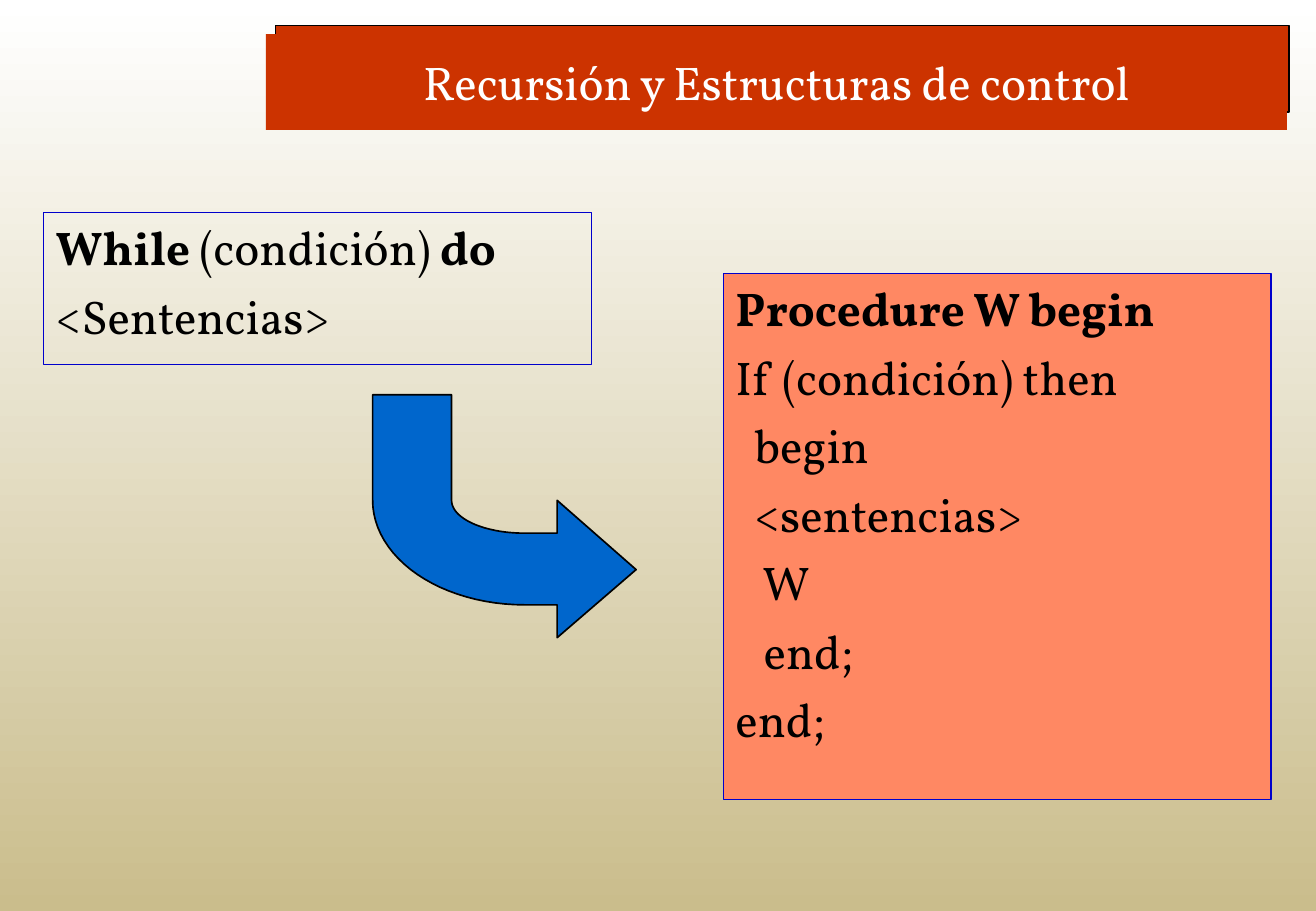
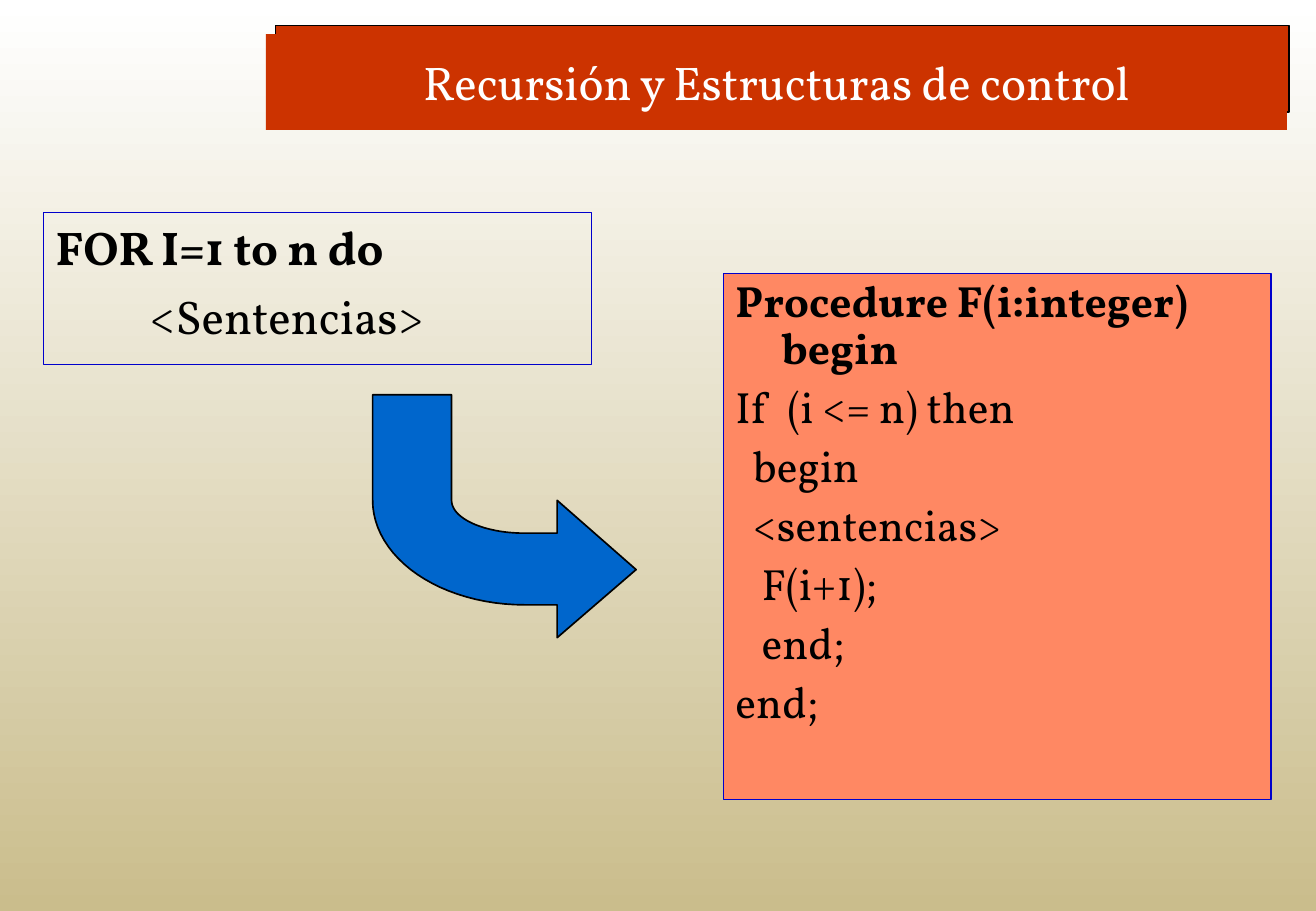
import math

from pptx import Presentation
from pptx import util as u
from pptx.dml import color
from pptx.enum import shapes, text

SCALE = 9144  # EMU in one px, 100 px to the inch


def px(n):
    return u.Emu(round(n * SCALE))


def rgb(code):
    return color.RGBColor.from_string(code)


def apply(target, values):
    for key, value in values.items():
        setattr(target, key, value)


class Deck:
    FONT = "Vollkorn"
    RED, SALMON, BLUE, NAVY = "CC3300", "FF8863", "0066CC", "0000CC"
    BLACK, WHITE, SAND = "000000", "FFFFFF", "CABD8C"
    TITLE = dict(alignment=text.PP_ALIGN.CENTER)
    CODE = dict(alignment=text.PP_ALIGN.LEFT)

    def __init__(self):
        self.prs = Presentation()
        apply(self.prs, dict(slide_width=px(1084), slide_height=px(750)))
        # Shared background, white at the top to sand at the bottom
        fill = self.prs.slide_master.background.fill
        fill.gradient()
        fill.gradient_angle = 270
        for stop, code in zip(fill.gradient_stops, (self.WHITE, self.SAND)):
            stop.color.rgb = rgb(code)

    def paint(self, shape, fill=None, line=None, width=1):
        shape.shadow.inherit = False
        for part, code in ((shape.fill, fill), (shape.line.fill, line)):
            if code:
                part.solid()
                part.fore_color.rgb = rgb(code)
            else:
                part.background()
        if line:
            shape.line.width = u.Pt(width)
        return shape

    def rect(self, box, **look):
        shape = self.slide.shapes.add_shape(
            shapes.MSO_SHAPE.RECTANGLE, *map(px, box))
        return self.paint(shape, **look)

    def label(self, shape, lines, ink, form, size=28, anchor="TOP"):
        """Fill a shape with lines; parts between asterisks are bold."""
        frame = shape.text_frame
        apply(frame, dict(word_wrap=True,
                          vertical_anchor=text.MSO_ANCHOR[anchor]))
        for i, line in enumerate(lines):
            para = frame.add_paragraph() if i else frame.paragraphs[0]
            apply(para, form)
            para.space_before = u.Pt(7 if i else 0)
            for j, part in enumerate(line.split("*")):
                if part:
                    run = para.add_run()
                    run.text = part
                    apply(run.font, dict(name=self.FONT, size=u.Pt(size),
                                         bold=j % 2 == 1))
                    run.font.color.rgb = rgb(ink)

    def page(self, title):
        self.slide = self.prs.slides.add_slide(self.prs.slide_layouts[6])
        # Title band over its outlined back plate
        self.rect((227, 21, 835, 71), fill=self.RED, line=self.BLACK)
        band = self.rect((219, 28, 841, 79), fill=self.RED)
        self.label(band, [title], self.WHITE, self.TITLE, anchor="MIDDLE")

    def code(self, box, lines, fill=None, size=28, pitch=1.0):
        shape = self.rect(box, fill=fill, line=self.NAVY, width=0.75)
        self.label(shape, lines, self.BLACK,
                   dict(self.CODE, line_spacing=pitch), size)
        # Hanging indent for wrapped lines
        for para in shape.text_frame.paragraphs:
            props = para._p.get_or_add_pPr()
            props.set("marL", str(px(38)))
            props.set("indent", str(px(-38)))

    def arrow(self):
        def bend(wide, high, steps=24):
            turns = (math.pi / 2 * k / steps for k in range(steps + 1))
            return [(432 - wide * math.cos(t), 412 + high * math.sin(t))
                    for t in turns]

        dots = [(524, 469), (459, 525), (459, 498), *bend(125, 86)[::-1],
                (307, 325), (372, 325), *bend(60, 27),
                (459, 439), (459, 412)]
        dots = [(px(x), px(y)) for x, y in dots]
        form = self.slide.shapes.build_freeform(*dots[0])
        form.add_line_segments(dots[1:], close=True)
        self.paint(form.convert_to_shape(), self.BLUE, self.BLACK)

    def pair(self, title, loop, proc, **fit):
        """One slide: a loop and the recursive procedure it turns into."""
        self.page(title)
        self.code((36, 175, 451, 125), loop)
        self.code((596, 225, 451, 433), proc, fill=self.SALMON, **fit)
        self.arrow()


def main():
    deck = Deck()
    title = "Recursión y Estructuras de control"

    # While loop
    deck.pair(title,
              ["*While* (condición) *do*", "<Sentencias>"],
              ["*Procedure W begin*", "If (condición) then", "  begin",
               "  <sentencias>", "   W", "   end;", "end;"])

    # For loop
    deck.pair(title,
              ["*FOR I=1 to n do*", "          <Sentencias>"],
              ["*Procedure F(i:integer) begin*", "If  (i <= n) then",
               "  begin", "  <sentencias>", "   F(i+1);", "   end;", "end;"],
              size=25.9, pitch=0.9)

    deck.prs.save("out.pptx")


if __name__ == "__main__":
    main()
